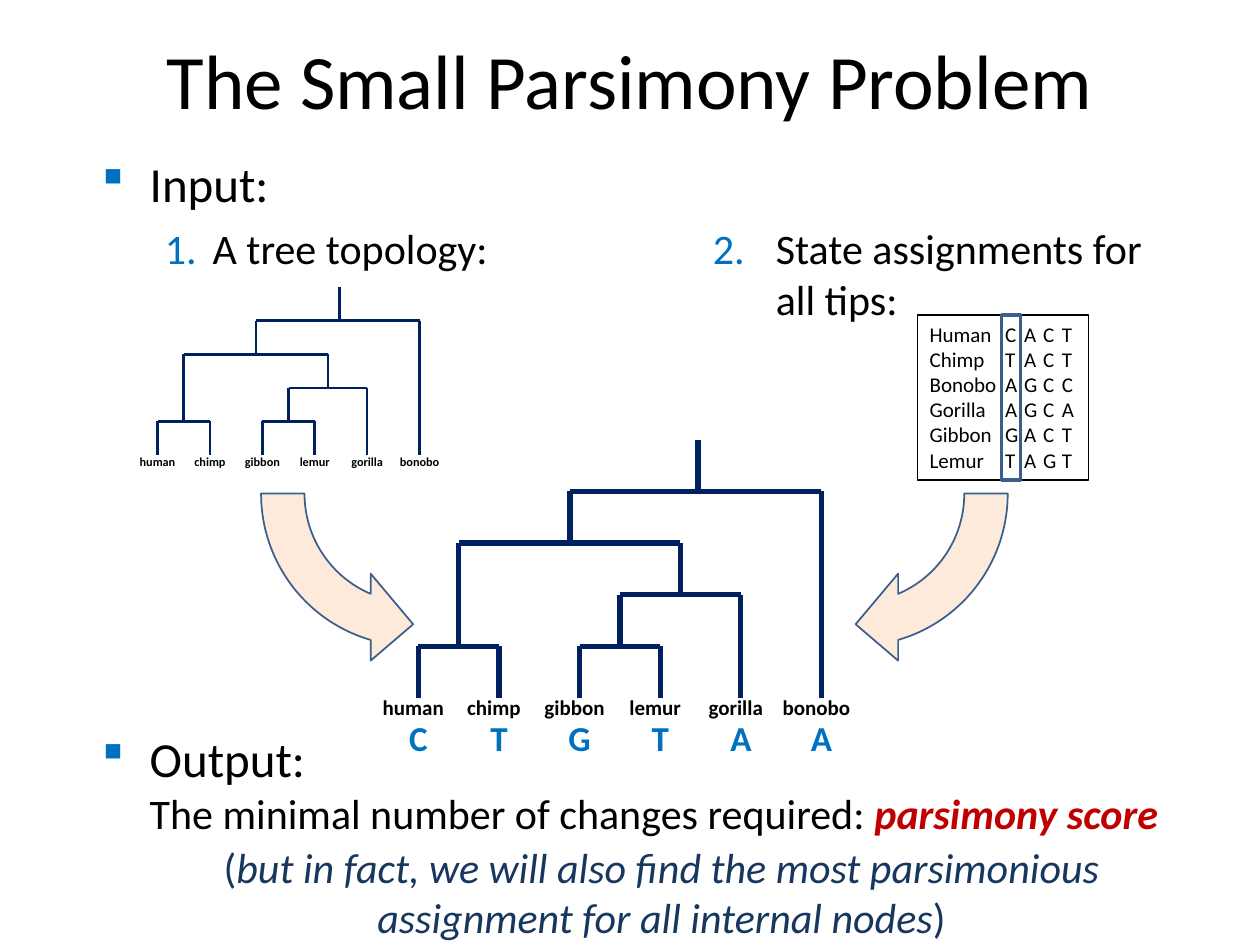
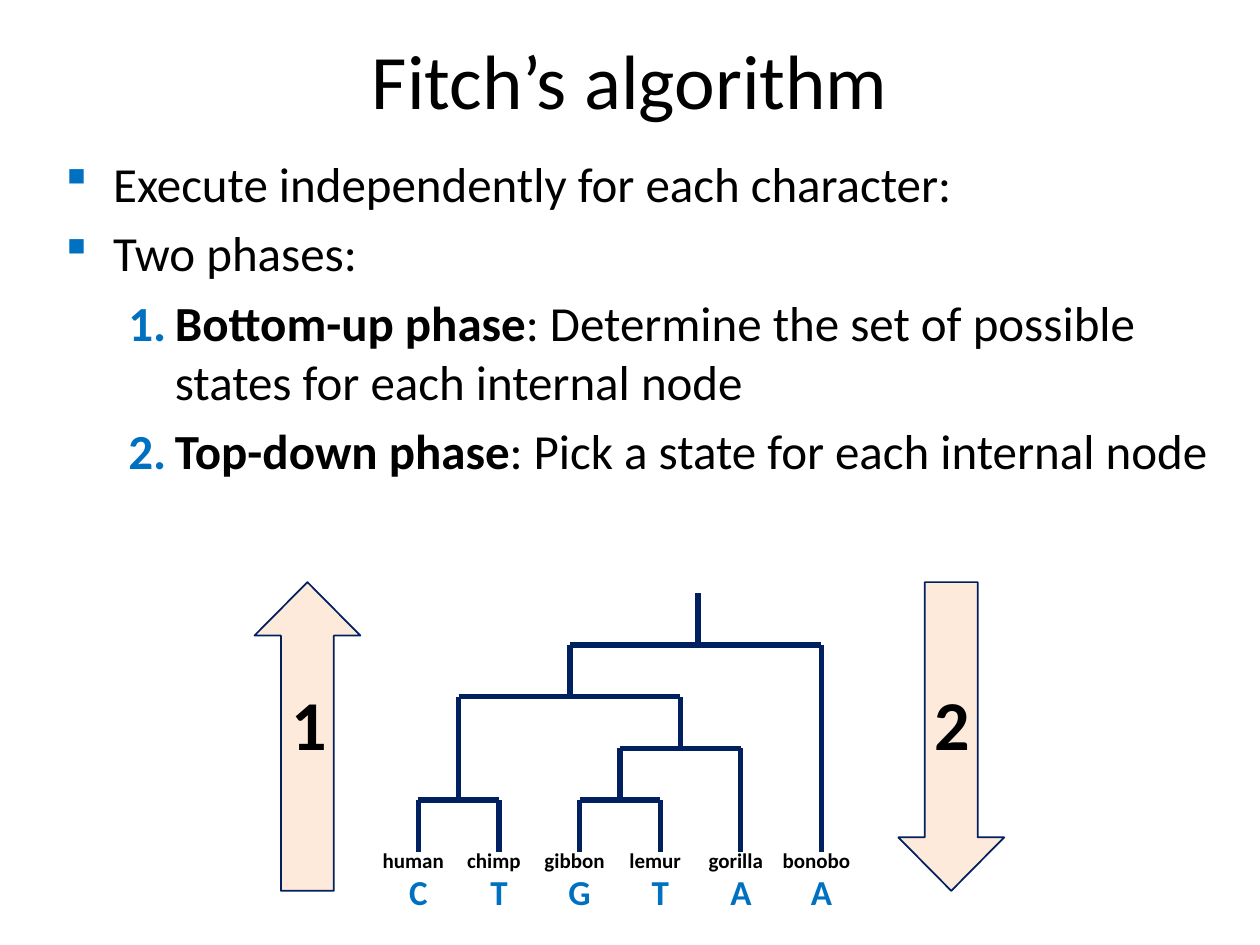
from lxml import etree
from pptx import Presentation
from pptx.dml.color import RGBColor
from pptx.enum.shapes import MSO_CONNECTOR, MSO_SHAPE as SHAPE
from pptx.enum.text import MSO_ANCHOR as ANCHOR, PP_ALIGN as ALIGN
from pptx.oxml.ns import qn
from pptx.util import Inches, Pt

FONT = "Calibri"
BLACK = RGBColor(0, 0, 0)
NAVY = RGBColor(0x00, 0x20, 0x60)
BLUE = RGBColor(0x00, 0x70, 0xC0)
STEEL = RGBColor(0x3A, 0x5F, 0x8C)
DARK_BLUE = RGBColor(0x17, 0x37, 0x5E)
RED = RGBColor(0xC0, 0x00, 0x00)
PEACH = RGBColor(0xFD, 0xEA, 0xDA)

TIPS = ["human", "chimp", "gibbon", "lemur", "gorilla", "bonobo"]
TIP_STATES = "CTGTAA"
# Branch ends as (x, level): x counts tips from the left, level counts from the root.
TREE_BRANCHES = [
    ((3.47, 0), (3.47, 1)), ((1.88, 1), (5, 1)), ((5, 1), (5, 5)),
    ((1.88, 1), (1.88, 2)), ((0.5, 2), (3.25, 2)), ((0.5, 2), (0.5, 4)),
    ((3.25, 2), (3.25, 3)), ((2.5, 3), (4, 3)), ((4, 3), (4, 5)),
    ((2.5, 3), (2.5, 4)), ((0, 4), (1, 4)), ((2, 4), (3, 4)),
] + [((tip, 4), (tip, 5)) for tip in range(4)]
STATE_ROWS = [
    ("Human", "CACT"), ("Chimp", "TACT"), ("Bonobo", "AGCC"),
    ("Gorilla", "AGCA"), ("Gibbon", "GACT"), ("Lemur", "TAGT"),
]
# Trees are sized by the span of their tips and their height.
SMALL_TREE = dict(left=1.25, span=2.08, height=1.33, weight=1.5, size=7,
                  name_shift=0, name_rise=0.05)
BIG_TREE = dict(left=3.32, span=3.2, height=2.05, weight=3, size=12,
                name_shift=-0.04, name_rise=0.08)


def add_run(p, text, size, color=BLACK, bold=False, italic=False):
    """Add text to a paragraph, turning each newline into a line break."""
    for i, line in enumerate(text.split("\n")):
        if i:
            p.add_line_break()
        if line:
            r = p.add_run()
            r.text = line
            font = r.font
            font.name, font.size, font.color.rgb = FONT, Pt(size), color
            font.bold, font.italic = bold, italic


def add_text_box(slide, left, top, width, height, wrap=True):
    box = slide.shapes.add_textbox(Inches(left), Inches(top), Inches(width), Inches(height))
    box.text_frame.word_wrap = wrap
    return box.text_frame


def add_label(slide, center, top, width, height, text, size, color=BLACK):
    """Bold one-line text centred on a given x."""
    p = add_text_box(slide, center - width / 2, top, width, height, wrap=False).paragraphs[0]
    p.alignment = ALIGN.CENTER
    add_run(p, text, size, color, bold=True)


def next_paragraph(tf):
    return tf.add_paragraph() if tf.paragraphs[0].runs else tf.paragraphs[0]


def add_item(tf, *runs, number=None, margin=0.38, hang=0.38):
    """Add a list item: numbered if a number is given, else with a square bullet."""
    p = next_paragraph(tf)
    p.space_after = Pt(6)
    p.level = 1 if number else 0
    pPr = p._p.get_or_add_pPr()
    pPr.set("marL", str(Inches(margin)))
    pPr.set("indent", str(-Inches(hang)))
    bullet_color = etree.SubElement(pPr, qn("a:buClr"))
    etree.SubElement(bullet_color, qn("a:srgbClr"), val=str(BLUE))
    if number:
        etree.SubElement(pPr, qn("a:buAutoNum"), type="arabicPeriod", startAt=str(number))
    else:
        # "§" is the small square of the Wingdings symbol font
        etree.SubElement(pPr, qn("a:buFont"), typeface="Wingdings", charset="2")
        etree.SubElement(pPr, qn("a:buChar"), char="§")
    for text, size, *style in runs:
        add_run(p, text, size, *style)


def add_shape(slide, kind, left, top, width, height, line, weight, fill=None, adjust=()):
    sp = slide.shapes.add_shape(kind, Inches(left), Inches(top), Inches(width), Inches(height))
    sp.shadow.inherit = False
    sp.line.color.rgb, sp.line.width = line, Pt(weight)
    if fill is None:
        sp.fill.background()
    else:
        sp.fill.solid()
        sp.fill.fore_color.rgb = fill
    for i, value in enumerate(adjust):
        sp.adjustments[i] = value
    return sp


def add_curved_arrow(slide, left, rotation, flip=False):
    sp = add_shape(slide, SHAPE.CIRCULAR_ARROW, left, 2.54, 2.76, 2.76, STEEL, 1, PEACH,
                   (0.125, 11.423, 204.577, 161.913, 0.125))
    sp.rotation = rotation
    if flip:
        sp._element.spPr.xfrm.set("flipH", "1")


def add_phase_arrow(slide, kind, left, number):
    add_shape(slide, kind, left, 4.62, 0.84, 2.45, NAVY, 1, PEACH, (0.5, 0.505))
    add_label(slide, left + 0.43, 5.35, 0.49, 0.77, number, 40)


def add_tree(slide, left, top, span, height, weight, size, name_shift, name_rise, states=""):
    """Draw the tree with its tip names and, if given, the state of each tip."""
    step, level = span / 5, height / 5
    for ends in TREE_BRANCHES:
        (x1, y1), (x2, y2) = [(Inches(left + x * step), Inches(top + y * level)) for x, y in ends]
        branch = slide.shapes.add_connector(MSO_CONNECTOR.STRAIGHT, x1, y1, x2, y2)
        branch.line.color.rgb, branch.line.width = NAVY, Pt(weight)
        etree.SubElement(branch._element.spPr, qn("a:effectLst"))
    bottom = top + height
    for i, name in enumerate(TIPS):
        add_label(slide, left + i * step + name_shift, bottom - name_rise, 0.78, 0.3, name, size)
    for i, state in enumerate(states):
        add_label(slide, left + i * step, bottom + 0.1, 0.38, 0.44, state, 20, BLUE)


def add_state_matrix(slide):
    sp = add_shape(slide, SHAPE.RECTANGLE, 7.28, 2.5, 1.36, 1.31, BLACK, 0.75)
    tf = sp.text_frame
    tf.word_wrap = False
    tf.vertical_anchor = ANCHOR.TOP
    for name, states in STATE_ROWS:
        p = next_paragraph(tf)
        p.alignment = ALIGN.LEFT
        tabs = etree.SubElement(p._p.get_or_add_pPr(), qn("a:tabLst"))
        for i in range(len(states)):
            etree.SubElement(tabs, qn("a:tab"), pos=str(Inches(0.6 + 0.15 * i)), algn="l")
        add_run(p, "\t".join([name, *states]), 12)
    add_shape(slide, SHAPE.RECTANGLE, 7.95, 2.5, 0.15, 1.31, STEEL, 2)


def add_titled_slide(prs, text):
    slide = prs.slides.add_slide(prs.slide_layouts[5])
    title = slide.shapes.title
    title.left, title.top = 0, 0
    title.width, title.height = prs.slide_width, Inches(1.25)
    title.text_frame.vertical_anchor = ANCHOR.MIDDLE
    p = title.text_frame.paragraphs[0]
    p.alignment = ALIGN.CENTER
    add_run(p, text, 44)
    return slide


def build_problem_slide(prs):
    slide = add_titled_slide(prs, "The Small Parsimony Problem")
    tf = add_text_box(slide, 0.71, 1.17, 3.98, 1.37)
    add_item(tf, ("Input:", 28))
    add_item(tf, ("A tree topology:", 24), number=1, margin=0.88)
    tf = add_text_box(slide, 5.06, 1.72, 4.34, 0.84)
    add_item(tf, ("State assignments for all tips:", 24), number=2, margin=1, hang=0.5)

    add_tree(slide, top=2.28, **SMALL_TREE)
    add_state_matrix(slide)
    add_tree(slide, top=3.49, states=TIP_STATES, **BIG_TREE)
    add_curved_arrow(slide, 1.9, 270, flip=True)
    add_curved_arrow(slide, 5.41, 90)

    tf = add_text_box(slide, 0.71, 5.73, 9.08, 0.91)
    add_item(tf, ("Output:\n", 28), ("The minimal number of changes required: ", 24),
             ("parsimony score", 24, RED, True, True))
    p = add_text_box(slide, 0.71, 6.63, 9.08, 0.7).paragraphs[0]
    p.alignment = ALIGN.CENTER
    add_run(p, "(", 24, DARK_BLUE)
    add_run(p, "but in fact, we will also find the most parsimonious\n"
               "assignment for all internal nodes", 24, DARK_BLUE, italic=True)
    add_run(p, ")", 24, DARK_BLUE)


def build_algorithm_slide(prs):
    slide = add_titled_slide(prs, "Fitch’s algorithm")
    tf = add_text_box(slide, 0.42, 1.17, 9.36, 2.73)
    add_item(tf, ("Execute independently for each character:", 28))
    add_item(tf, ("Two phases:", 28))
    phases = [
        ("Bottom-up phase", ": Determine the set of possible states for each internal node"),
        ("Top-down phase", ": Pick a state for each internal node"),
    ]
    for number, (name, task) in enumerate(phases, 1):
        add_item(tf, (name, 28, BLACK, True), (task, 28), number=number, margin=0.87, hang=0.37)

    add_tree(slide, top=4.71, states=TIP_STATES, **BIG_TREE)
    add_phase_arrow(slide, SHAPE.UP_ARROW, 2.02, "1")
    add_phase_arrow(slide, SHAPE.DOWN_ARROW, 7.13, "2")


def main():
    prs = Presentation()
    prs.slide_width, prs.slide_height = Inches(10), Inches(7.5)
    build_problem_slide(prs)
    build_algorithm_slide(prs)
    prs.save("out.pptx")


if __name__ == "__main__":
    main()
